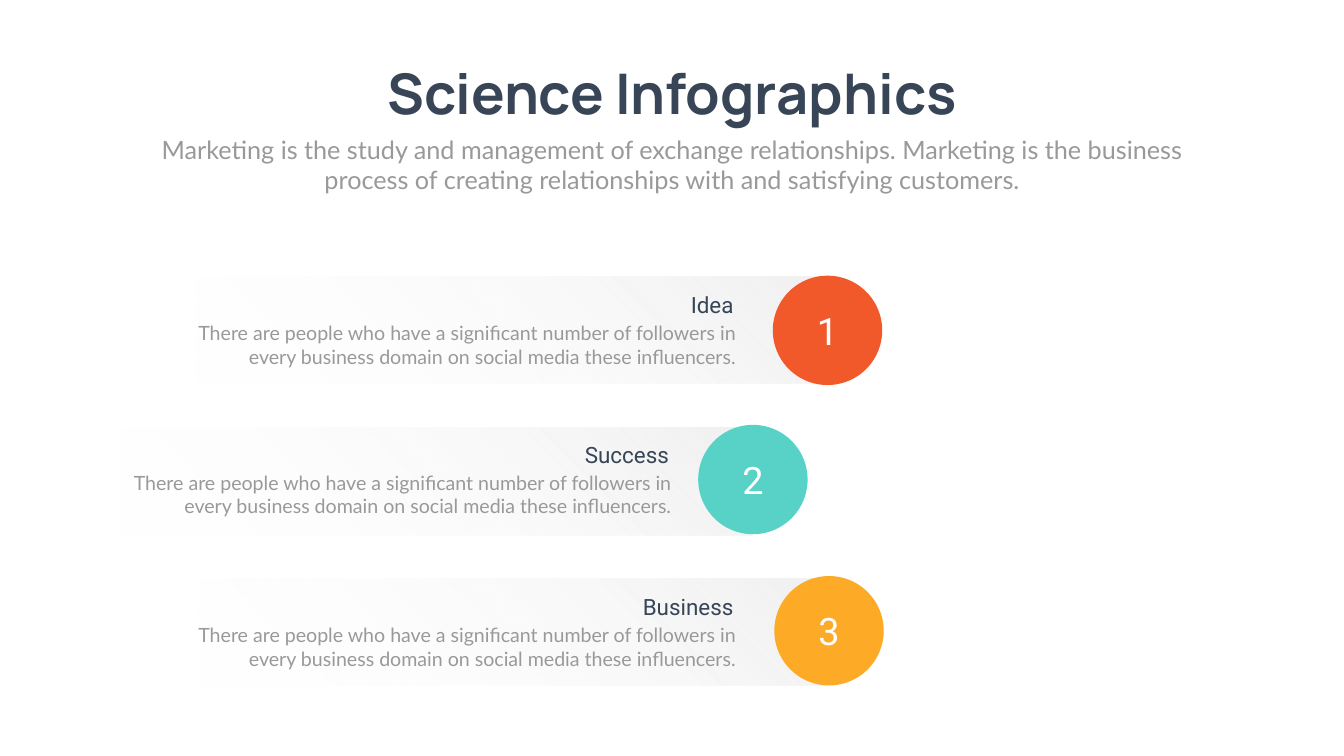
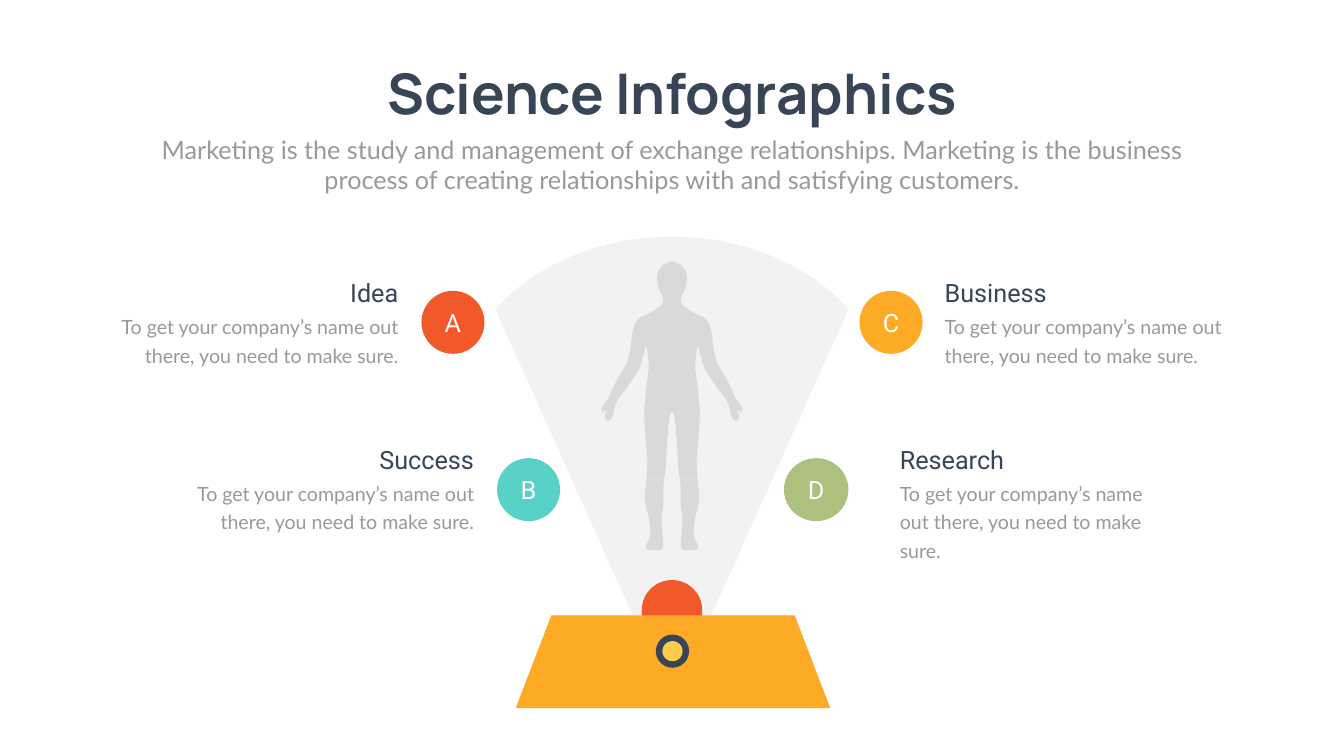
import pptx
import pptx.dml.color
import pptx.enum.shapes
import pptx.enum.text
import pptx.oxml.ns
import pptx.util
from lxml import etree

PX = 9144  # one px is a hundredth of an inch
SHAPE = pptx.enum.shapes.MSO_SHAPE
ALIGN = pptx.enum.text.PP_ALIGN
ANCHOR = pptx.enum.text.MSO_ANCHOR
GROW = pptx.enum.text.MSO_AUTO_SIZE.SHAPE_TO_FIT_TEXT
qn = pptx.oxml.ns.qn

NAVY, GRAY, WHITE = "374556", "999999", "FFFFFF"
ORANGE, TEAL, AMBER, GREEN = "F2592A", "58D2C6", "FDAA27", "ABC17D"
PALE, SILVER, YELLOW, PAPER = "F2F2F2", "D9D9D9", "FECC4A", "FEFFFE"

TITLE = "Science Infographics"
SUBTITLE = ("Marketing is the study and management of exchange relationships. "
            "Marketing is the business process of creating relationships with "
            "and satisfying customers.")
ROW_TEXT = ("There are people who have a significant number of followers in "
            "every business domain on social media these influencers.")
CALLOUT_TEXT = "To get your company’s name out there, you need to make sure."

# Outlines as (x, y) lines and (x1, y1, x2, y2, x, y) curves,
# measured from the vertical axis and the top of the projector.
FAN = [(0, 0), (238, 0, 350, 144, 350, 144), (76, 755)]
LAMP = [(0, 681), (33, 681, 60, 707, 60, 741), (60, 755)]
HEAD = [(0, 49), (1, 49), (18, 51, 29, 64, 30, 82), (30, 93, 25, 108, 19, 117),
        (19, 117, 13, 128, 23, 137), (30, 143, 44, 152, 53, 155),
        (68, 158, 76, 172, 79, 193)]
TORSO = [(79, 191), (80, 198, 81, 205, 81, 212),
         (82, 222, 86, 240, 90, 252), (107, 276, 113, 293, 118, 301),
         (121, 308, 125, 319, 128, 323), (130, 326, 133, 329, 136, 334),
         (137, 335, 137, 335, 138, 336), (113, 336),
         (111, 329, 108, 323, 103, 317), (94, 305, 73, 277, 65, 261),
         (58, 245, 54, 221, 51, 214), (49, 228, 44, 250, 47, 268),
         (49, 283, 50, 286, 53, 321), (54, 326, 54, 331, 55, 336)]
HIPS = [(0, 349), (1, 349, 2, 349, 3, 348), (7, 365, 11, 420, 12, 444),
        (12, 459, 14, 469, 16, 481), (51, 481), (50, 471, 49, 462, 49, 454),
        (48, 426, 56, 381, 55, 336)]
HAND = [(122, 363), (129, 369, 134, 363, 133, 354),
        (132, 349, 130, 344, 131, 341), (133, 343, 136, 350, 138, 349),
        (140, 348, 141, 343, 138, 336), (113, 336),
        (116, 348, 115, 356, 122, 363)]
LEG = [(17, 509), (16, 539, 22, 552, 20, 569), (19, 585, 17, 612, 19, 619),
       (21, 623, 52, 623, 52, 617), (52, 607, 43, 605, 43, 584),
       (42, 563, 54, 535, 54, 514), (53, 503, 52, 492, 51, 481),
       (16, 481), (17, 490, 17, 499, 17, 509)]


def color(value):
    return pptx.dml.color.RGBColor.from_string(value)


def emu(*lengths):
    return [pptx.util.Emu(round(length * PX)) for length in lengths]


def write(frame, text, size, font, tint, align, bold=False, spacing=None):
    para = frame.paragraphs[0]
    para.text = text
    para.alignment = align
    para.line_spacing = spacing
    para.font.size = pptx.util.Pt(size)
    para.font.name = font
    para.font.bold = bold
    para.font.color.rgb = color(tint)


def add_text(page, box, text, size, font, tint, align, spacing=None):
    frame = page.shapes.add_textbox(*emu(*box)).text_frame
    frame.word_wrap = True
    frame.auto_size = GROW
    write(frame, text, size, font, tint, align, spacing=spacing)


def paint(shape, tint):
    shape.shadow.inherit = False
    shape.line.fill.background()
    shape.fill.solid()
    shape.fill.fore_color.rgb = color(tint)


def add_shape(page, kind, box, tint):
    shape = page.shapes.add_shape(kind, *emu(*box))
    paint(shape, tint)
    return shape


def add_badge(page, box, label, size, tint):
    frame = add_shape(page, SHAPE.OVAL, box, tint).text_frame
    frame.vertical_anchor = ANCHOR.MIDDLE
    frame.margin_left, frame.margin_right = emu(8, 8)
    frame.margin_top, frame.margin_bottom = emu(8, 8)
    write(frame, label, size, "Roboto", WHITE, ALIGN.CENTER)


def mirror(outline):
    """Reflect an outline in the axis, keeping its direction."""
    return [tuple(-n if i % 2 == 0 else n for i, n in enumerate(part))
            for part in outline]


def reverse(outline):
    """Run an outline from its end to its start."""
    knots = [part[-2:] for part in outline]
    back = [knots[-1]]
    for i in range(len(outline) - 1, 0, -1):
        part = outline[i]
        curve = part[2:4] + part[:2] if len(part) == 6 else ()
        back.append(curve + knots[i - 1])
    return back


def add_outline(page, axis, top, outline, tint):
    """Closed freeform whose curves are true cubic ones."""
    points = [emu(axis + part[i], top + part[i + 1])
              for part in outline for i in range(0, len(part), 2)]
    builder = page.shapes.build_freeform(*points[0], scale=1.0)
    builder.add_line_segments(points[1:], close=True)
    shape = builder.convert_to_shape()
    paint(shape, tint)
    lines = iter(shape.element.spPr.findall(".//" + qn("a:lnTo")))
    for part in outline[1:]:
        line = next(lines)
        if len(part) == 6:
            line.addprevious(curve := etree.Element(qn("a:cubicBezTo")))
            for step in (line, next(lines), next(lines)):
                curve.append(step[0])
                step.getparent().remove(step)


def add_page(deck):
    """Page with the shared title and subtitle."""
    page = deck.slides.add_slide(deck.slide_layouts[5])
    title = page.shapes.title
    title.left, title.top, title.width, title.height = emu(717, 112, 1233, 145)
    frame = title.text_frame
    frame.word_wrap = False
    frame.auto_size = GROW
    frame.vertical_anchor = ANCHOR.TOP
    write(frame, TITLE, 80, "Manrope", NAVY, ALIGN.CENTER, bold=True)
    add_text(page, (292, 261, 2082, 131), SUBTITLE, 36, "Lato", GRAY, ALIGN.CENTER)
    return page


def add_band(page, left, top):
    """Bar that fades out to the left."""
    band = add_shape(page, SHAPE.RECTANGLE, (left, top, 1250, 214), PALE)
    band.element.spPr.find(qn("a:xfrm")).set("flipH", "1")
    band.fill.gradient()
    band.fill.gradient_angle = 315
    for stop, tint, position in zip(band.fill.gradient_stops, (PALE, WHITE), (0.05, 1)):
        stop.color.rgb = color(tint)
        stop.position = position
    clear = band.element.spPr.findall(".//" + qn("a:srgbClr"))[-1]
    etree.SubElement(clear, qn("a:alpha")).set("val", "0")


def add_numbered_band(page, left, top, number, tint, badge_left, badge_top):
    add_band(page, left, top)
    add_badge(page, (left + badge_left, top + badge_top, 217, 217), number, 54, tint)


def add_row_text(page, right, top, word, width):
    add_text(page, (right - 535, top, 535, 64), word, 32, "Roboto", NAVY, ALIGN.RIGHT)
    add_text(page, (right + 4 - width, top + 59, width, 104), ROW_TEXT, 28, "Lato",
             GRAY, ALIGN.RIGHT)


def add_callout_text(page, edge, top, word, align, body_width, head_width):
    """Text and heading that meet the given edge."""
    def box(dy, width, height):
        left = edge - width if align == ALIGN.RIGHT else edge
        return left, top + dy, width, height

    add_text(page, box(65, body_width, 119), CALLOUT_TEXT, 28, "Lato", GRAY, align,
             pptx.util.Pt(40.8))
    add_text(page, box(0, head_width, 71), word, 36, "Roboto", NAVY, align)


def add_projector(page, axis, top):
    """Light fan, lamp and base, with the human figure in the light."""
    def add_symmetric(half, tint):
        back = reverse(mirror(half))
        joined = half + (back[1:] if half[-1][-2] == 0 else back)
        add_outline(page, axis, top, joined, tint)

    def add_pair(limb):
        add_outline(page, axis, top, limb, SILVER)
        add_outline(page, axis, top, mirror(limb), SILVER)

    add_symmetric(FAN, PALE)
    add_symmetric(LAMP, ORANGE)
    base = add_shape(page, SHAPE.TRAPEZOID, (axis - 310, top + 751, 624, 184), AMBER)
    base.adjustments[0] = 0.384
    for size, tint in ((66, NAVY), (40, YELLOW)):
        add_shape(page, SHAPE.OVAL,
                  (axis + 1 - size // 2, top + 822 - size // 2, size, size), tint)

    add_symmetric(HEAD, SILVER)
    add_symmetric(TORSO, SILVER)
    add_pair(HAND)
    add_symmetric(HIPS, SILVER)
    add_pair(LEG)


def add_rows_page(deck):
    page = add_page(deck)
    add_numbered_band(page, 388, 548, "1", ORANGE, 1145, -1)
    add_numbered_band(page, 242, 848, "2", TEAL, 1143, -5)
    add_numbered_band(page, 393, 1147, "3", AMBER, 1143, -4)
    add_row_text(page, 1465, 573, "Idea", 1135)
    add_row_text(page, 1337, 870, "Success", 1099)
    add_row_text(page, 1465, 1172, "Business", 1135)


def add_projector_page(deck):
    page = add_page(deck)
    add_badge(page, (836, 577, 125, 125), "A", 36, ORANGE)
    add_badge(page, (986, 909, 125, 125), "B", 36, TEAL)
    add_badge(page, (1705, 577, 125, 125), "C", 36, AMBER)
    add_badge(page, (1555, 909, 128, 125), "D", 36, GREEN)
    add_callout_text(page, 1864, 545, "Business", ALIGN.LEFT, 595, 477)
    add_callout_text(page, 1775, 876, "Research", ALIGN.LEFT, 520, 416)
    add_callout_text(page, 800, 545, "Idea", ALIGN.RIGHT, 595, 477)
    add_callout_text(page, 950, 876, "Success", ALIGN.RIGHT, 595, 477)
    add_projector(page, 1333, 470)


def main():
    deck = pptx.Presentation()
    deck.slide_width, deck.slide_height = emu(2666, 1500)
    backdrop = deck.slide_master.background.fill
    backdrop.solid()
    backdrop.fore_color.rgb = color(PAPER)
    add_rows_page(deck)
    add_projector_page(deck)
    deck.save("out.pptx")


if __name__ == "__main__":
    main()
